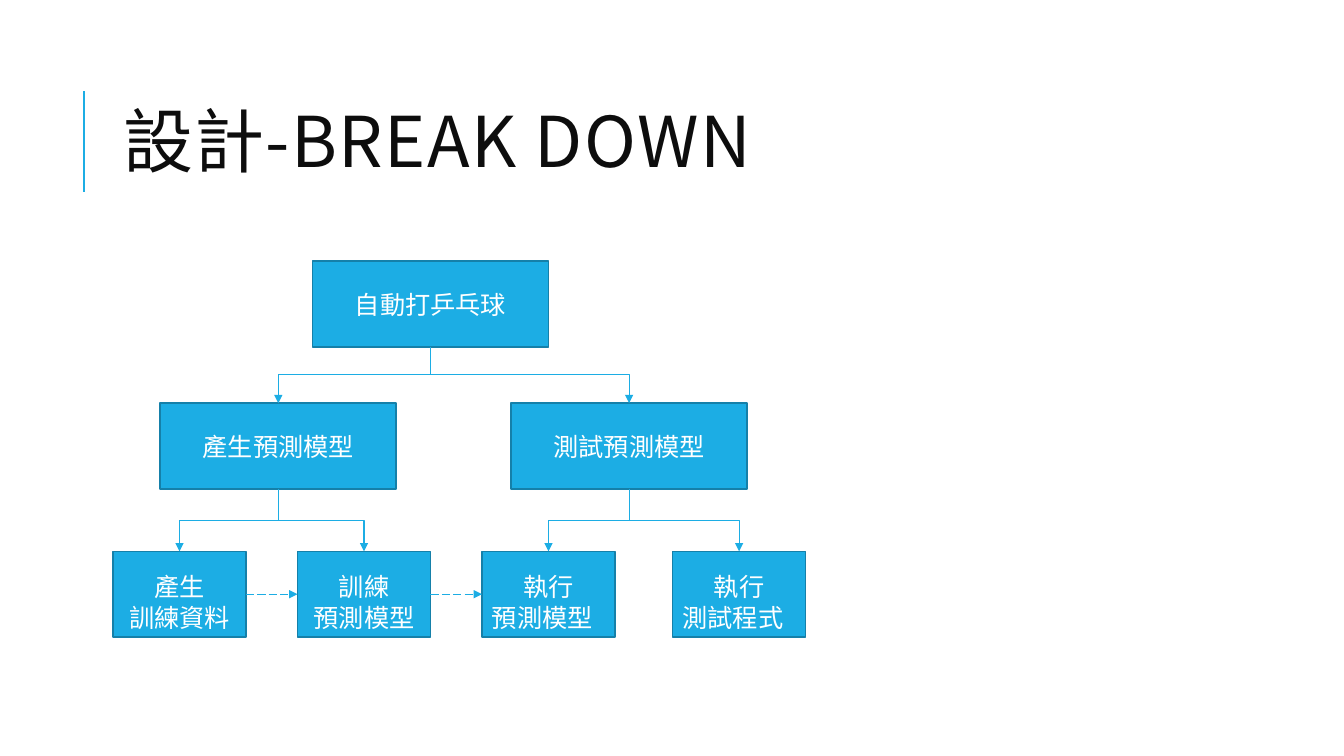
from dataclasses import dataclass

from pptx import Presentation
from pptx.dml.color import RGBColor
from pptx.enum.dml import MSO_LINE
from pptx.enum.shapes import MSO_CONNECTOR as Link, MSO_SHAPE
from pptx.enum.text import MSO_ANCHOR as Anchor, MSO_AUTO_SIZE, PP_ALIGN as Align
from pptx.oxml.ns import qn
from pptx.shapes.autoshape import Shape
from pptx.shapes.connector import Connector
from pptx.slide import Slide
from pptx.util import Inches, Pt
from lxml.etree import SubElement

BLUE = RGBColor(0x1C, 0xAD, 0xE4)
EDGE = RGBColor(0x15, 0x80, 0xA9)
INK = RGBColor(0x0D, 0x0D, 0x0D)
WHITE = RGBColor(0xFF, 0xFF, 0xFF)
LATIN = "Cabin"
ASIAN = "Noto Sans CJK TC"
TOP, LEFT, BOTTOM, RIGHT = range(4)
HIGH = 0.85


@dataclass(frozen=True)
class Node:
    key: str
    lines: tuple[str, ...]
    left: float
    top: float
    wide: float
    anchor: Anchor = Anchor.MIDDLE
    last: Align = Align.CENTER


def task(key: str, lines: tuple[str, ...], left: float, last: Align = Align.CENTER) -> Node:
    return Node(key, lines, left, 5.47, 1.32, Anchor.BOTTOM, last)


NODES = (
    Node("root", ("自動打乒乓球",), 3.1, 2.59, 2.34),
    Node("model", ("產生預測模型",), 1.59, 4, 2.34),
    Node("test", ("測試預測模型",), 5.07, 4, 2.34),
    task("data", ("產生", "訓練資料"), 1.12),
    task("train", ("訓練", "預測模型"), 2.95),
    task("run", ("執行", "預測模型"), 4.78, Align.LEFT),
    task("code", ("執行", "測試程式"), 6.67, Align.LEFT),
)
TREE = {"root": ("model", "test"), "model": ("data", "train"), "test": ("run", "code")}
FLOW = (("data", "train"), ("train", "run"))


def add_run(para, text: str, size: float, color: RGBColor, latin: str) -> None:
    run = para.add_run()
    run.text = text
    font = run.font
    font.size, font.name, font.color.rgb = Pt(size), latin, color
    SubElement(font._element, qn("a:ea")).set("typeface", ASIAN)


def add_title(slide: Slide, text: str) -> None:
    title = slide.shapes.title
    title.left, title.top = Inches(1.12), Inches(0.64)
    title.width, title.height = Inches(10.63), Inches(1.64)
    frame = title.text_frame
    frame.word_wrap = True
    frame.auto_size = MSO_AUTO_SIZE.NONE
    frame.vertical_anchor = Anchor.MIDDLE
    para = frame.paragraphs[0]
    para.alignment, para.line_spacing = Align.LEFT, 0.8
    add_run(para, text, 50, INK, ASIAN)
    para.runs[0].font._element.set("spc", "100")


def add_node(slide: Slide, node: Node) -> Shape:
    box = slide.shapes.add_shape(
        MSO_SHAPE.RECTANGLE, Inches(node.left), Inches(node.top), Inches(node.wide), Inches(HIGH)
    )
    box.shadow.inherit = False
    box.fill.solid()
    box.fill.fore_color.rgb = BLUE
    box.line.color.rgb, box.line.width = EDGE, Pt(1.25)
    frame = box.text_frame
    frame.word_wrap = True
    frame.vertical_anchor = node.anchor
    for row, text in enumerate(node.lines):
        para = frame.add_paragraph() if row else frame.paragraphs[0]
        para.alignment = node.last if row else Align.CENTER
        add_run(para, text, 18, WHITE, LATIN)
    return box


def style(line: Connector, width: float, arrow: bool = True, dash: bool = False) -> None:
    line.line.color.rgb, line.line.width = BLUE, Pt(width)
    if dash:
        line.line.dash_style = MSO_LINE.LONG_DASH
    props = line._element.spPr
    if arrow:
        SubElement(props.find(qn("a:ln")), qn("a:tailEnd")).set("type", "triangle")
    SubElement(props, qn("a:effectLst"))


def join(slide: Slide, kind: Link, start: Shape, out: int, end: Shape, into: int) -> Connector:
    line = slide.shapes.add_connector(kind, 0, 0, 0, 0)
    line.begin_connect(start, out)
    line.end_connect(end, into)
    return line


def add_branch(slide: Slide, start: Shape, end: Shape) -> None:
    line = join(slide, Link.ELBOW, start, BOTTOM, end, TOP)
    x1, y1, x2, y2 = line.begin_x, line.begin_y, line.end_x, line.end_y
    wide, high = y2 - y1, abs(x2 - x1)
    line.left, line.top = (x1 + x2 - wide) // 2, (y1 + y2 - high) // 2
    line.width, line.height = wide, high
    frame = line._element.spPr.find(qn("a:xfrm"))
    for flip in ("flipH", "flipV"):
        frame.attrib.pop(flip, None)
    if x2 > x1:
        frame.set("flipH", "1")
    frame.set("rot", str((270 if x2 > x1 else 90) * 60000))
    style(line, 0.75)


def main() -> None:
    deck = Presentation()
    deck.slide_width, deck.slide_height = Inches(13.33), Inches(7.5)
    slide = deck.slides.add_slide(deck.slide_layouts[5])
    rule = slide.shapes.add_connector(
        Link.STRAIGHT, Inches(0.83), Inches(1.9), Inches(0.83), Inches(0.9)
    )
    style(rule, 1.5, arrow=False)
    add_title(slide, "設計-BREAK DOWN")
    boxes = {node.key: add_node(slide, node) for node in NODES}
    for head, kids in TREE.items():
        for kid in kids:
            add_branch(slide, boxes[head], boxes[kid])
    for start, end in FLOW:
        line = join(slide, Link.STRAIGHT, boxes[start], RIGHT, boxes[end], LEFT)
        style(line, 0.75, dash=True)
    deck.save("out.pptx")


if __name__ == "__main__":
    main()
